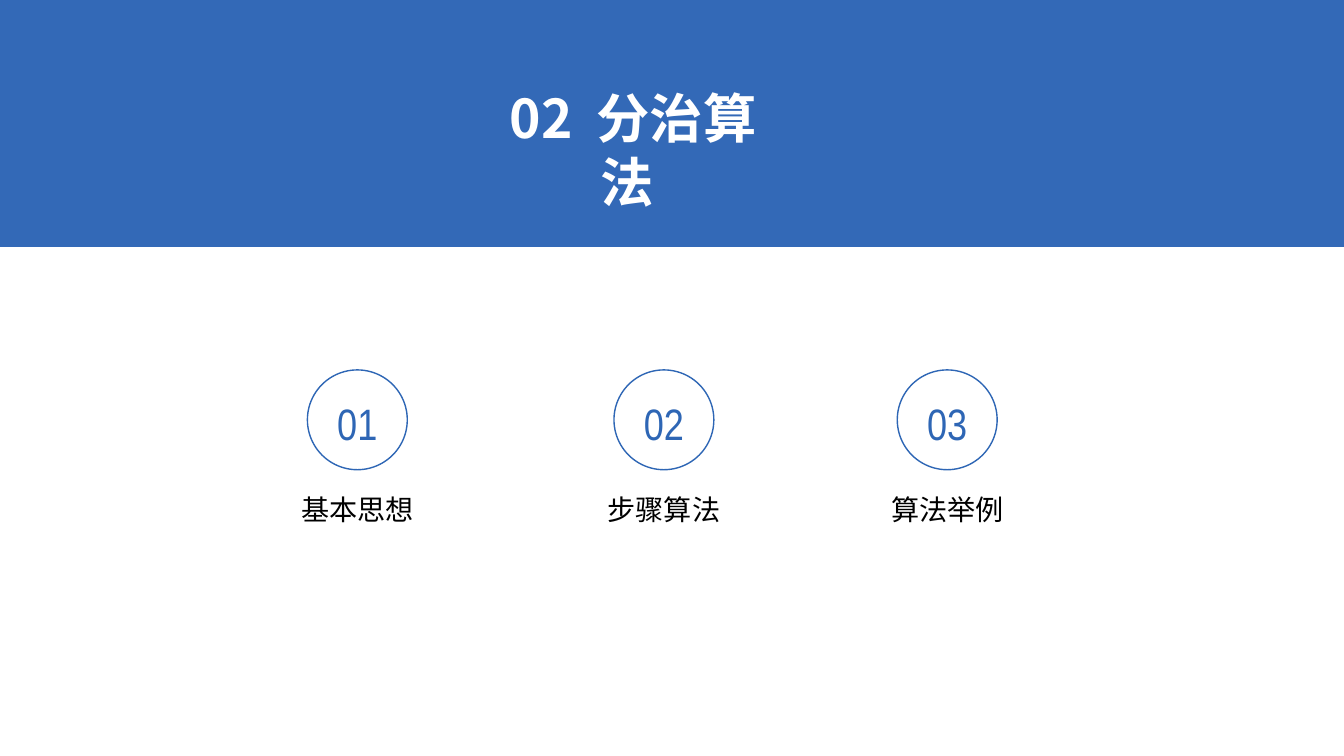
from lxml import etree
from pptx import Presentation
from pptx.dml.color import RGBColor
from pptx.enum.shapes import MSO_SHAPE
from pptx.enum.text import MSO_ANCHOR, MSO_AUTO_SIZE, PP_ALIGN
from pptx.oxml.ns import qn
from pptx.util import Inches, Pt

RECT, OVAL = MSO_SHAPE.RECTANGLE, MSO_SHAPE.OVAL
TOP, MIDDLE = MSO_ANCHOR.TOP, MSO_ANCHOR.MIDDLE
CENTER = PP_ALIGN.CENTER
GROW = MSO_AUTO_SIZE.SHAPE_TO_FIT_TEXT

SECTIONS = [(26.59, "01", "基本思想"), (49.4, "02", "步骤算法"), (70.48, "03", "算法举例")]


def color(value):
    return RGBColor.from_string(value)


class Deck:
    """Style and current slide; lengths are percent of the slide's size."""
    band, accent, white, black = "0044A5", "2E66B5", "FFFFFF", "000000"
    cjk, narrow = "Noto Sans CJK SC", "Arial Narrow"

    def __init__(self):
        self.prs = Presentation()
        self.prs.slide_width, self.prs.slide_height = Inches(13.33), Inches(7.5)
        self.slide = self.prs.slides.add_slide(self.prs.slide_layouts[6])

    def frame(self, cx, top, w, h):
        """Turn a horizontal centre, top and size into left, top, width, height."""
        sw, sh = self.prs.slide_width, self.prs.slide_height
        return (round(sw * (cx - w / 2) / 100), round(sh * top / 100),
                round(sw * w / 100), round(sh * h / 100))

    def shape(self, kind, frame, fill, line=None, alpha=None, parent=None):
        sp = (parent or self.slide).shapes.add_shape(kind, *self.frame(*frame))
        sp.shadow.inherit = False
        sp.fill.solid()
        sp.fill.fore_color.rgb = color(fill)
        if alpha is not None:
            clr = sp.fill._xPr.find(qn("a:solidFill"))[0]
            etree.SubElement(clr, qn("a:alpha")).set("val", str(alpha * 1000))
        if line:
            sp.line.color.rgb = color(line)
            sp.line.width = Pt(1)
        else:
            sp.line.fill.background()
        return sp

    def text(self, runs, frame, size, font, fill, bold=False, anchor=TOP,
             bottom=0.05, leading=None, parent=None):
        sp = (parent or self.slide).shapes.add_textbox(*self.frame(*frame))
        tf = sp.text_frame
        tf.word_wrap, tf.auto_size, tf.vertical_anchor = True, GROW, anchor
        tf.margin_left = tf.margin_right = tf.margin_top = 0
        tf.margin_bottom = Inches(bottom)
        p = tf.paragraphs[0]
        p.alignment = CENTER
        if leading:
            p.line_spacing = Pt(leading)
        for text, spacing in runs:
            r = p.add_run()
            r.text = text
            r.font.size, r.font.bold, r.font.name = Pt(size), bold, font
            r.font.color.rgb = color(fill)
            rPr = r.font._element
            etree.SubElement(rPr, qn("a:ea")).set("typeface", font)
            if spacing:
                rPr.set("spc", str(round(spacing * 100)))
        return sp

    def section(self, cx, number, label):
        """Numbered circle with a label underneath, grouped."""
        group = self.slide.shapes.add_group_shape()
        self.shape(OVAL, (cx, 48.93, 7.43, 13.2), self.white, self.accent, parent=group)
        self.text([(label, 0)], (cx, 65.07, 19.95, 5.2), 20.1, self.cjk,
                  self.black, parent=group)
        self.text([(number, 0)], (cx, 54.67, 3.9, 4.8), 31.4, self.narrow,
                  self.accent, anchor=MIDDLE, bottom=0, leading=26, parent=group)


def main():
    deck = Deck()

    # Header band and title, with a widened space after the number
    deck.shape(RECT, (50.04, 0, 100.22, 32.67), deck.band, alpha=80)
    deck.text([(" 02", 0), (" ", 8.5), ("分治算法", 0)], (46.66, 11.2, 22.5, 9.2),
              38.1, deck.cjk, deck.white, bold=True)

    # Three sections
    for cx, number, label in SECTIONS:
        deck.section(cx, number, label)

    deck.prs.save("out.pptx")


if __name__ == "__main__":
    main()
